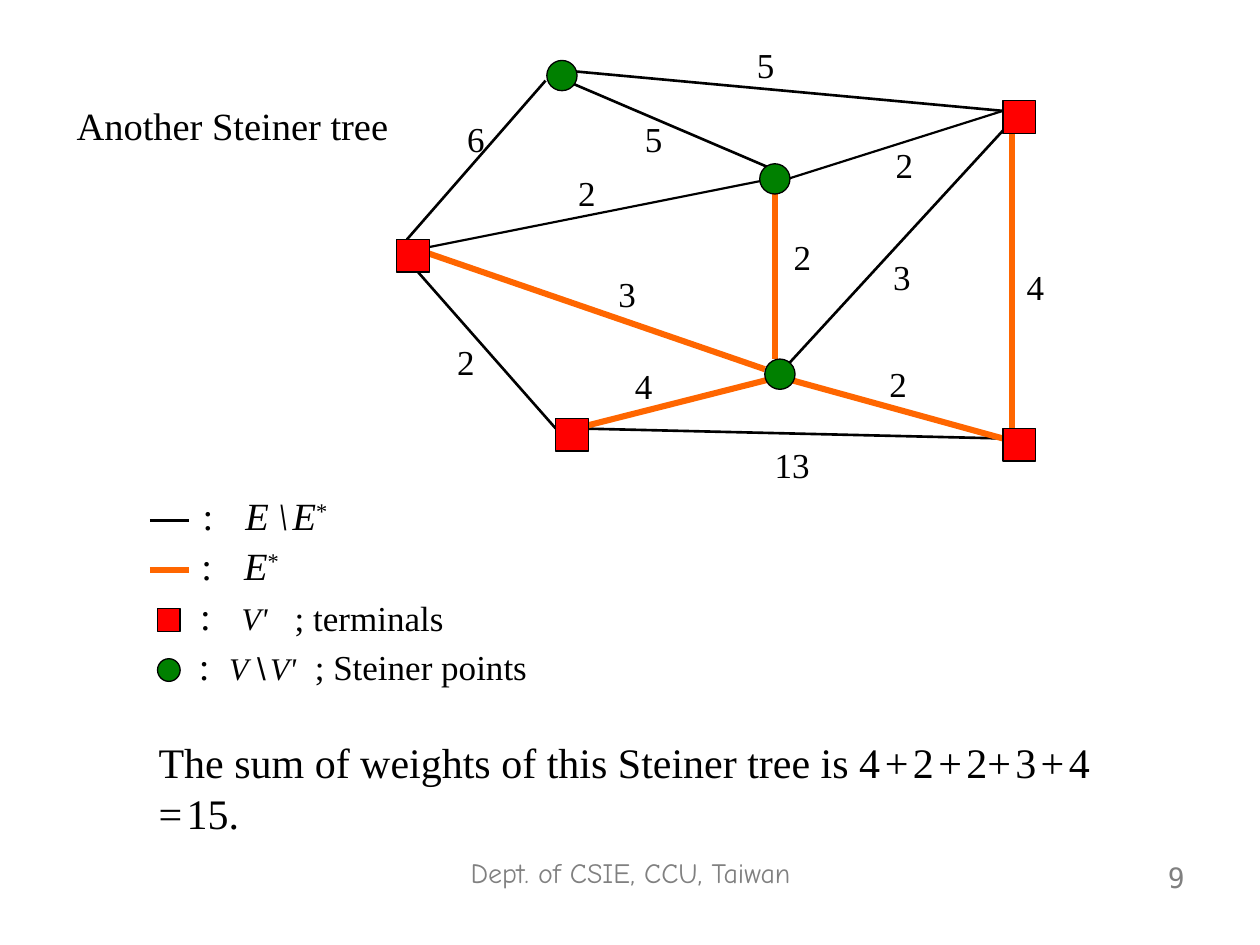
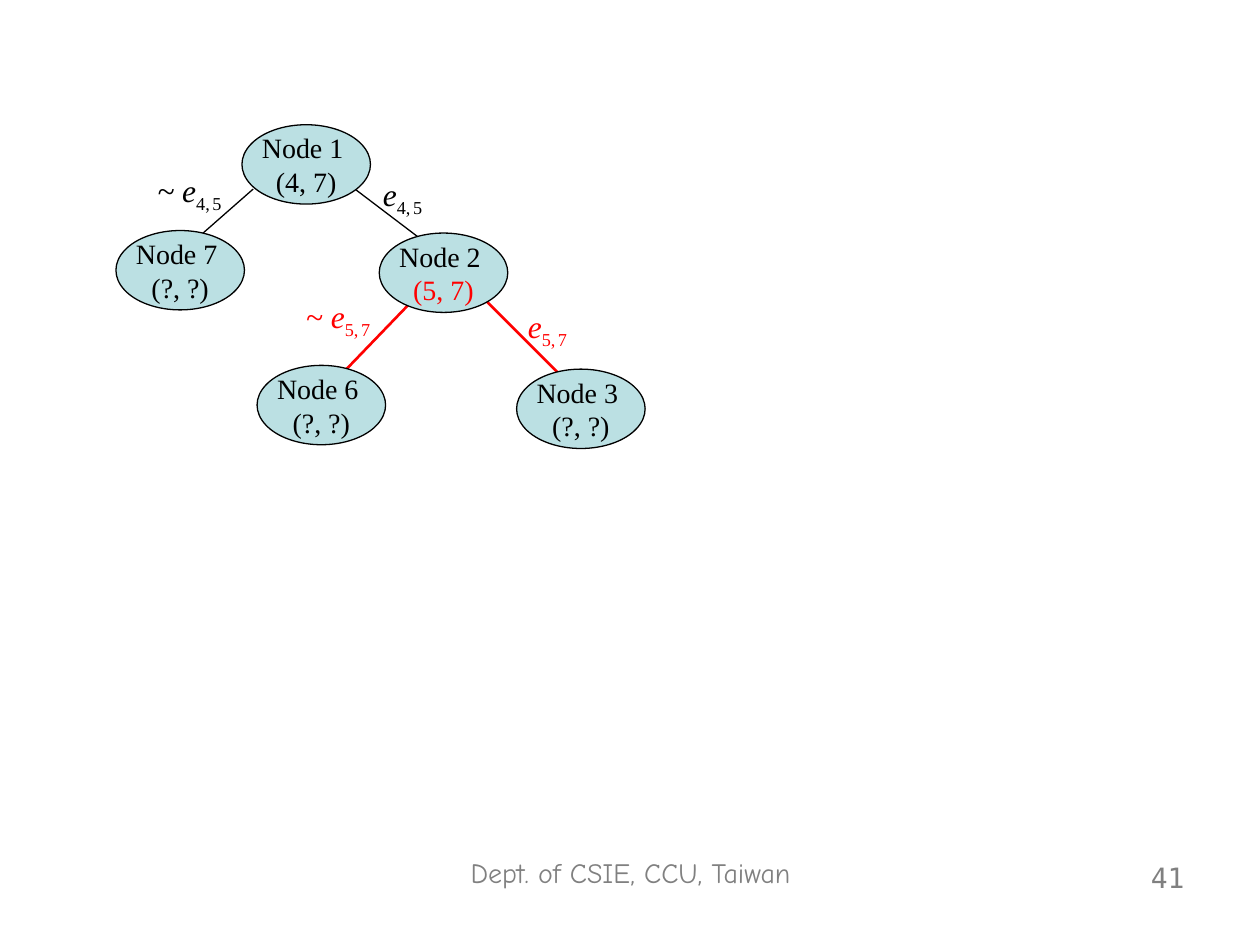
from lxml import etree
from pptx import Presentation
from pptx.dml.color import RGBColor
from pptx.enum.shapes import MSO_CONNECTOR, MSO_SHAPE
from pptx.enum.text import MSO_ANCHOR, PP_ALIGN
from pptx.oxml.ns import qn
from pptx.util import Inches, Pt

STRAIGHT = MSO_CONNECTOR.STRAIGHT
SQUARE, OVAL = MSO_SHAPE.RECTANGLE, MSO_SHAPE.OVAL
LEFT, CENTER, RIGHT = PP_ALIGN.LEFT, PP_ALIGN.CENTER, PP_ALIGN.RIGHT
TOP, MIDDLE = MSO_ANCHOR.TOP, MSO_ANCHOR.MIDDLE

BLACK = RGBColor(0x00, 0x00, 0x00)
GRAY = RGBColor(0x80, 0x80, 0x80)
RED = RGBColor(0xFF, 0x00, 0x00)
GREEN = RGBColor(0x00, 0x80, 0x00)
ORANGE = RGBColor(0xFF, 0x66, 0x00)
PALE_BLUE = RGBColor(0xBB, 0xE0, 0xE3)

COLUMNS, ROWS = 100, 75
WIDTH, HEIGHT = Inches(10), Inches(7.5)

BODY = {"name": "Times New Roman", "size": Pt(20), "italic": False}
THIN_SPACE = (" ", {"size": Pt(10)})
SUPERSCRIPT, SUBSCRIPT = 30, -25


class Deck:
    """Holds the presentation and the current slide; lengths are grid columns and rows."""

    def __init__(self):
        self.presentation = Presentation()
        self.presentation.slide_width = WIDTH
        self.presentation.slide_height = HEIGHT
        self.slide = None

    @staticmethod
    def x(columns):
        return round(WIDTH * columns / COLUMNS)

    @staticmethod
    def y(rows):
        return round(HEIGHT * rows / ROWS)

    def box(self, left, top, width, height):
        return self.x(left), self.y(top), self.x(width), self.y(height)

    def new_slide(self, number):
        layout = self.presentation.slide_layouts[6]
        self.slide = self.presentation.slides.add_slide(layout)
        footer = {"size": Pt(16), "color": GRAY}
        self.text((31.9, 67.4, 36.3, 5.2), "Dept. of CSIE, CCU, Taiwan",
                  {**footer, "name": "Comic Neue"}, CENTER)
        self.text((71.7, 67.8, 23.3, 5.2), str(number),
                  {**footer, "name": "DejaVu Sans Mono"}, RIGHT)

    def line(self, start, end, color=BLACK, weight=1.5):
        connector = self.slide.shapes.add_connector(
            STRAIGHT, self.x(start[0]), self.y(start[1]), self.x(end[0]), self.y(end[1]))
        connector.line.color.rgb = color
        connector.line.width = Pt(weight)
        etree.SubElement(connector._element.spPr, qn("a:effectLst"))

    def shape(self, kind, box, fill):
        shape = self.slide.shapes.add_shape(kind, *self.box(*box))
        shape.shadow.inherit = False
        shape.fill.solid()
        shape.fill.fore_color.rgb = fill
        shape.line.color.rgb = BLACK
        shape.line.width = Pt(0.75)
        return shape

    def text(self, box, content, style=None, alignment=LEFT, wrap=True, tab=None):
        """Add one paragraph; content is a string or a list of (text, format) runs."""
        frame = self.slide.shapes.add_textbox(*self.box(*box)).text_frame
        self.fill_frame(frame, [content], style, alignment, TOP, wrap)
        if tab:
            properties = frame.paragraphs[0]._p.get_or_add_pPr()
            tabs = etree.SubElement(properties, qn("a:tabLst"))
            etree.SubElement(tabs, qn("a:tab"), pos=str(self.x(tab)), algn="l")

    def fill_frame(self, frame, lines, style, alignment, anchor, wrap):
        frame.word_wrap = wrap
        frame.vertical_anchor = anchor
        for index, content in enumerate(lines):
            paragraph = frame.add_paragraph() if index else frame.paragraphs[0]
            paragraph.alignment = alignment
            runs = [(content, {})] if isinstance(content, str) else content
            for words, changes in runs:
                self.run(paragraph, words, {**BODY, **(style or {}), **changes})

    @staticmethod
    def run(paragraph, words, values):
        run = paragraph.add_run()
        run.text = words
        run.font.color.rgb = values.get("color", BLACK)
        for attribute in BODY:
            setattr(run.font, attribute, values[attribute])
        if "baseline" in values:
            run._r.get_or_add_rPr().set("baseline", str(values["baseline"] * 1000))


def thin_spaced(*parts):
    """Turn strings into runs with a narrow space between neighbours."""
    runs = []
    for part in parts:
        runs += [THIN_SPACE, (part, {})]
    return runs[1:]


# start, end, color, line weight, edge weight, left and top of its label
EDGES = [
    ((43.3, 6.4), (32.3, 19), BLACK, 1.5, 6, (36.1, 8.8)),
    ((44.9, 5.6), (79.6, 8.8), BLACK, 1.5, 5, (59.1, 3)),
    ((44.9, 6.4), (61.5, 13.5), BLACK, 1.5, 5, (50.2, 8.8)),
    ((33.1, 19.8), (60.7, 29.3), ORANGE, 3.5, 3, (48.1, 21.1)),
    ((62.2, 29.3), (80.3, 9.6), BLACK, 1.5, 3, (69.9, 19.8)),
    ((32.3, 20.6), (44.1, 34), BLACK, 1.5, 2, (35.3, 26.5)),
    ((45.7, 34), (79.6, 34.8), BLACK, 1.5, 13, (60.5, 34.7)),
    ((80.3, 9.6), (80.3, 34), ORANGE, 3.5, 4, (80.5, 20.6)),
    ((33.1, 19.8), (60.7, 14.3), BLACK, 1.25, 2, (44.9, 13.1)),
    ((61.5, 15.1), (61.5, 28.5), ORANGE, 3.5, 2, (62, 18.2)),
    ((61.5, 30), (45.7, 34), ORANGE, 3.5, 4, (49.4, 28.4)),
    ((62.2, 30), (79.6, 34.8), ORANGE, 3.5, 2, (69.6, 28.3)),
    ((62.2, 14.3), (79.6, 8.8), BLACK, 1.25, 2, (70.1, 10.9)),
]
TERMINALS = [(31.5, 19), (44.1, 33.2), (79.6, 8), (79.6, 34)]
STEINER_POINTS = [(43.4, 4.8), (60.3, 13), (60.7, 28.5)]


def draw_legend(deck):
    italic, star = {"italic": True}, ("*", {"baseline": SUPERSCRIPT})
    small = {"size": Pt(18)}
    variable = {**small, **italic}
    arial = {**small, "name": "Arial"}
    # left of the text, tab stop, runs after the colon
    entries = [
        (15.1, 3.4, [("E", italic), (" ", arial), ("\\", italic), THIN_SPACE,
                     ("E", italic), star]),
        (15, 3.4, [("E", italic), star]),
        (14.9, 3.3, [("V'", variable)]),
        (14.8, 2.4, [("V", variable), (" \\", arial), THIN_SPACE, ("V'", variable)]),
    ]
    first_top, step, middle, swatch = 38.6, 3.96, 2.7, 1.8
    tops = [first_top + step * index for index in range(len(entries))]
    for top, (left, tab, runs) in zip(tops, entries):
        deck.text((left, top, 14, 4.7), [(":\t", {}), *runs], {"size": Pt(22)}, tab=tab)
    for top, color, weight in zip(tops, (BLACK, ORANGE), (2, 3.5)):
        deck.line((11.9, top + middle), (15, top + middle), color, weight)
    meanings = [(SQUARE, RED, "; terminals", 22.4), (OVAL, GREEN, "; Steiner points", 24)]
    for top, (kind, color, meaning, left) in zip(tops[2:], meanings):
        deck.shape(kind, (12.5, top + middle - swatch / 2, swatch, swatch), color)
        deck.text((left, top + 0.3, 20.2, 4.4), meaning)


def steiner_tree_slide(deck):
    deck.new_slide(9)
    for start, end, color, line_weight, _, _ in EDGES:
        deck.line(start, end, color, line_weight)
    for *_, weight, (left, top) in EDGES:
        label = str(weight)
        deck.text((left, top, 2 + 1.4 * len(label), 4.4), label, wrap=False)
    for kind, corners, size, color in ((SQUARE, TERMINALS, 2.6, RED),
                                       (OVAL, STEINER_POINTS, 2.4, GREEN)):
        for left, top in corners:
            deck.shape(kind, (left, top, size, size), color)
    deck.text((5.1, 7.6, 27.6, 4.7), "Another Steiner tree", {"size": Pt(22)})
    draw_legend(deck)
    total = thin_spaced("The sum of weights of this Steiner tree is 4", "+", "2", "+",
                        "2+", "3", "+", "4", "=", "15.")
    deck.text((11.6, 58, 77.2, 9), total, {"size": Pt(24)})


# number, bounds, color of the bounds, left and top
TREE_NODES = [
    (1, "(4, 7)", BLACK, (19.2, 9.9)),
    (7, "(?, ?)", BLACK, (9.2, 18.3)),
    (2, "(5, 7)", RED, (30.1, 18.5)),
    (6, "(?, ?)", BLACK, (20.4, 29)),
    (3, "(?, ?)", BLACK, (41, 29.3)),
]
# start, end, color, line weight, sign and edge indices, left and top of the label
BRANCHES = [
    ((27.9, 14.8), (33.3, 18.9), BLACK, 0.75, "e", "45", (29.4, 13.4)),
    ((20.1, 15), (16, 18.6), BLACK, 0.75, "~ e", "45", (11.5, 13.1)),
    ((38.2, 23.5), (45.1, 30.4), RED, 1.5, "e", "57", (40.9, 23.9)),
    ((32.6, 24), (27.4, 29.4), RED, 1.5, "~ e", "57", (23.3, 23.1)),
]


def search_tree_slide(deck):
    deck.new_slide(41)
    subscript = {"baseline": SUBSCRIPT}
    thin_subscript = (" ", {**THIN_SPACE[1], **subscript})
    for start, end, color, line_weight, name, (first, second), corner in BRANCHES:
        deck.line(start, end, color, line_weight)
        label = [(name, {"italic": True}), (first + ",", subscript),
                 thin_subscript, (second, subscript)]
        deck.text((*corner, 8.9, 4.4), label, {"size": Pt(18), "color": color})
    for number, bounds, color, corner in TREE_NODES:
        node = deck.shape(OVAL, (*corner, 10.2, 6.3), PALE_BLUE)
        lines = [f"Node {number} ", [(bounds, {"color": color})]]
        deck.fill_frame(node.text_frame, lines, {"size": Pt(16)}, CENTER, MIDDLE, False)


def main():
    deck = Deck()
    steiner_tree_slide(deck)
    search_tree_slide(deck)
    deck.presentation.save("out.pptx")


if __name__ == "__main__":
    main()
